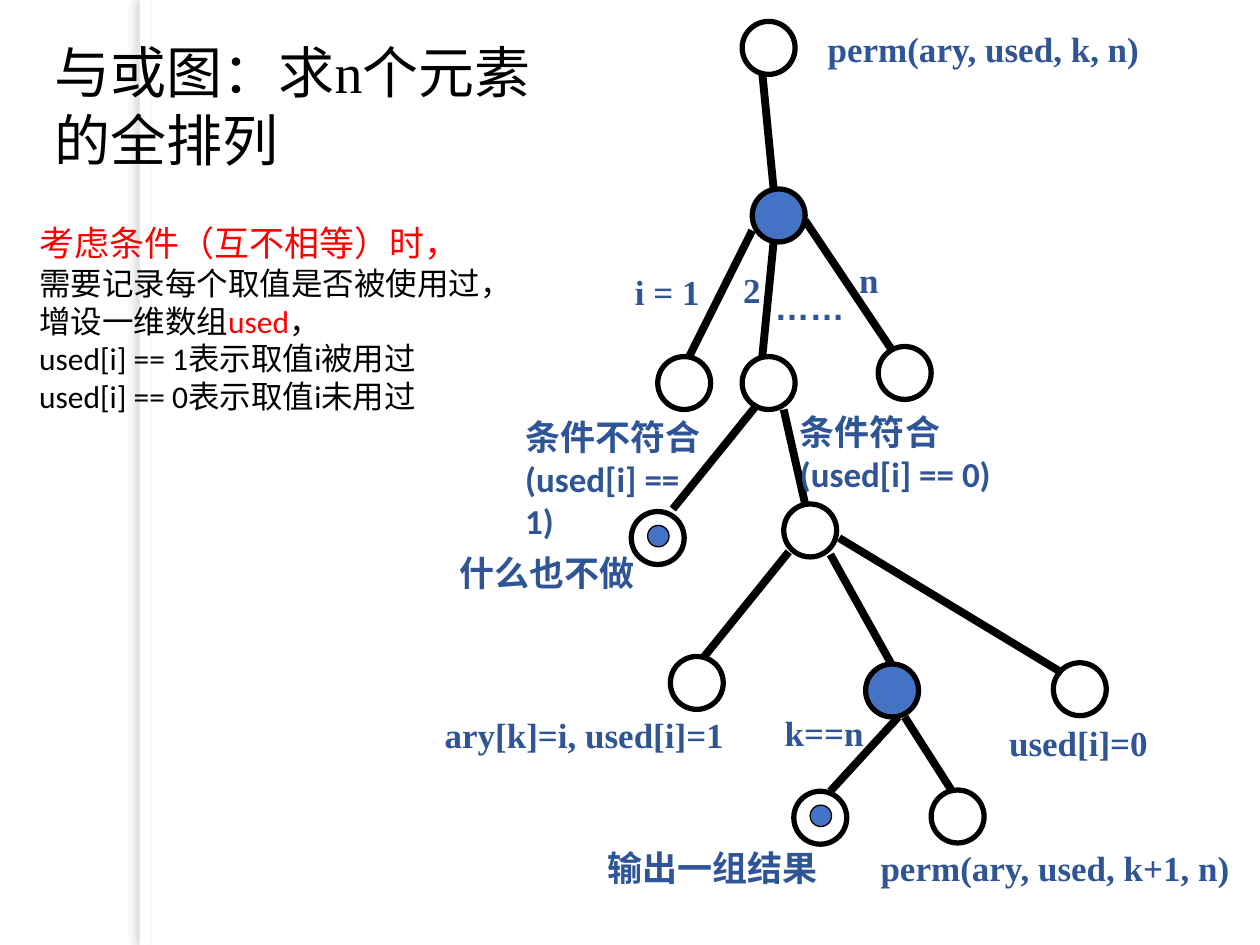
import pptx
import pptx.dml.color
import pptx.enum.shapes
import pptx.enum.text
import pptx.oxml
import pptx.oxml.ns
import pptx.util

# The slide is a grid of 100 columns by 75 rows of square cells
COLUMNS, ROWS = 100, 75
CELL = pptx.util.Inches(0.1)
NODE, DOT = 4.2, 1.7
BLACK, WHITE, RED, BLUE, NAVY = "000000", "FFFFFF", "FF0000", "4472C4", "2F5597"
SERIF, SANS = "Times New Roman", "Calibri"

# Nodes: left, top
OPEN_NODES = [(58.9, 1.7), (52.2, 28.3), (58.9, 28.3), (69.7, 27.5), (62.2, 40),
              (53.2, 52.1), (83.6, 52.6), (73.9, 62.7)]
AND_NODES = [(59.7, 15), (68.7, 52.7)]
END_NODES = [(50.1, 40.6), (63, 62.8)]

# Branches: from column, row to column, row
BRANCHES = [
    (60.5, 5.8, 61.4, 15),
    (59.7, 18.3, 54.7, 28.3), (61.4, 19.2, 60.5, 28.3), (63.9, 17.5, 70.8, 27.8),
    (60.1, 32.1, 53.4, 40.4), (62.2, 32.5, 63.9, 40),
    (62.6, 43.8, 55.9, 52.1), (65.9, 44, 70.8, 52.8), (66.6, 42.7, 84.3, 53.4),
    (71.3, 56.9, 65.9, 62.8), (71.8, 56.9, 75.5, 62.7),
]

# Labels: lines, font, left, top, width, height
LABELS = [
    (["perm(ary, used, k, n)"], SERIF, 64.7, 1.7, 27.6, 4.4),
    (["i = 1"], SERIF, 49.4, 21, 19.8, 4.4),
    (["2"], SERIF, 58, 20.8, 5, 4.3),
    (["……"], "Arial", 60.5, 22.2, 12.5, 4.3),
    (["n"], SERIF, 67.2, 20, 5, 4.3),
    (["条件不符合", "(used[i] == 1)"], SANS, 40.7, 32.5, 16.6, 11.1),
    (["条件符合", "(used[i] == 0)"], SANS, 62.5, 32.1, 24.1, 7.7),
    (["什么也不做"], SERIF, 35.5, 43.3, 28.3, 4.3),
    (["ary[k]=i, used[i]=1"], SERIF, 34.3, 56.1, 24.8, 4.4),
    (["k==n"], SERIF, 61.3, 56, 8.7, 4.3),
    (["used[i]=0"], SERIF, 79.1, 56.8, 13.5, 4.3),
    (["输出一组结果"], SERIF, 47.2, 66.7, 28.3, 4.3),
    (["perm(ary, used, k+1, n)"], SERIF, 68.9, 66.7, 29.7, 4.4),
]

# Body: one list of (text, size, colour) runs per paragraph
NOTES = [
    [("考虑条件（互不相等）时，", 20, RED)],
    [("需要记录每个取值是否被使用过，", 18, BLACK)],
    [("增设一维数组", 18, BLACK), ("used", 18, RED), ("，", 18, BLACK)],
    [("used[i] == 1表示取值i被用过", 18, BLACK)],
    [("used[i] == 0表示取值i未用过", 18, BLACK)],
]


def cells(*counts):
    return [round(count * CELL) for count in counts]


def rgb(value):
    return pptx.dml.color.RGBColor.from_string(value)


def write(paragraph, text, *, size=20, font=SERIF, color=BLACK, bold=False):
    run = paragraph.add_run()
    run.text = text
    run.font.size = pptx.util.Pt(size)
    run.font.name = font
    run.font.bold = bold
    run.font.color.rgb = rgb(color)


def prepare(frame, paragraph_count):
    """Wrap from the top left and give plain paragraphs without bullets."""
    frame.word_wrap = True
    frame.auto_size = pptx.enum.text.MSO_AUTO_SIZE.NONE
    frame.vertical_anchor = pptx.enum.text.MSO_ANCHOR.TOP
    for _ in range(paragraph_count - 1):
        frame.add_paragraph()
    for paragraph in frame.paragraphs:
        paragraph.alignment = pptx.enum.text.PP_ALIGN.LEFT
        paragraph.space_before = pptx.util.Pt(0)
        properties = paragraph._p.get_or_add_pPr()
        properties.set("marL", "0")
        properties.set("indent", "0")
        properties.append(pptx.oxml.parse_xml(
            f'<a:buNone {pptx.oxml.ns.nsdecls("a")}/>'))
    return frame.paragraphs


def place(holder, left, top, width, height):
    holder.left, holder.top, holder.width, holder.height = cells(left, top, width, height)


def add_label(slide, lines, font, *box):
    frame = slide.shapes.add_textbox(*cells(*box)).text_frame
    for paragraph, line in zip(prepare(frame, len(lines)), lines):
        write(paragraph, line, font=font, color=NAVY, bold=True)


def add_circle(slide, left, top, diameter=NODE, fill=None, weight=3):
    circle = slide.shapes.add_shape(pptx.enum.shapes.MSO_SHAPE.OVAL,
                                    *cells(left, top, diameter, diameter))
    circle.shadow.inherit = False
    if fill:
        circle.fill.solid()
        circle.fill.fore_color.rgb = rgb(fill)
    else:
        circle.fill.background()
    circle.line.color.rgb = rgb(BLACK)
    circle.line.width = pptx.util.Pt(weight)


def add_branch(slide, *ends):
    branch = slide.shapes.add_connector(
        pptx.enum.shapes.MSO_CONNECTOR.STRAIGHT, *cells(*ends))
    branch.line.color.rgb = rgb(BLACK)
    branch.line.width = pptx.util.Pt(4.5)
    branch._element.spPr.append(pptx.oxml.parse_xml(
        f'<a:effectLst {pptx.oxml.ns.nsdecls("a")}/>'))


def add_page_edge(slide):
    """White strip whose soft shadow falls to the left, behind everything."""
    edge = slide.shapes.add_shape(pptx.enum.shapes.MSO_SHAPE.RECTANGLE,
                                  *cells(11.1, 0, 0.8, ROWS))
    edge.fill.solid()
    edge.fill.fore_color.rgb = rgb(WHITE)
    edge.line.fill.background()
    edge._element.spPr.append(pptx.oxml.parse_xml(
        f'<a:effectLst {pptx.oxml.ns.nsdecls("a")}>'
        f'<a:outerShdw blurRad="{pptx.util.Pt(5)}" dist="{pptx.util.Pt(3)}" dir="10800000">'
        '<a:srgbClr val="73726C"><a:alpha val="25000"/></a:srgbClr>'
        '</a:outerShdw></a:effectLst>'))
    slide.shapes._spTree.insert(2, edge._element)


def main():
    deck = pptx.Presentation()
    deck.slide_width, deck.slide_height = cells(COLUMNS, ROWS)
    slide = deck.slides.add_slide(deck.slide_layouts[1])
    add_page_edge(slide)

    # Title and notes
    title, notes = slide.placeholders
    place(title, 3.3, 2.5, 40, 11.7)
    write(prepare(title.text_frame, 1)[0], "与或图：求n个元素的全排列", size=32)
    place(notes, 2.1, 17.1, 41, 16.5)
    for paragraph, runs in zip(prepare(notes.text_frame, len(NOTES)), NOTES):
        for text, size, color in runs:
            write(paragraph, text, size=size, font=SANS, color=color)

    # AND-OR tree
    for branch in BRANCHES:
        add_branch(slide, *branch)
    for node in OPEN_NODES + END_NODES:
        add_circle(slide, *node)
    for node in AND_NODES:
        add_circle(slide, *node, fill=BLUE)
    for left, top in END_NODES:
        add_circle(slide, left + 1.3, top + 1.1, DOT, BLUE, 0.75)
    for label in LABELS:
        add_label(slide, *label)

    deck.save("out.pptx")


if __name__ == "__main__":
    main()
